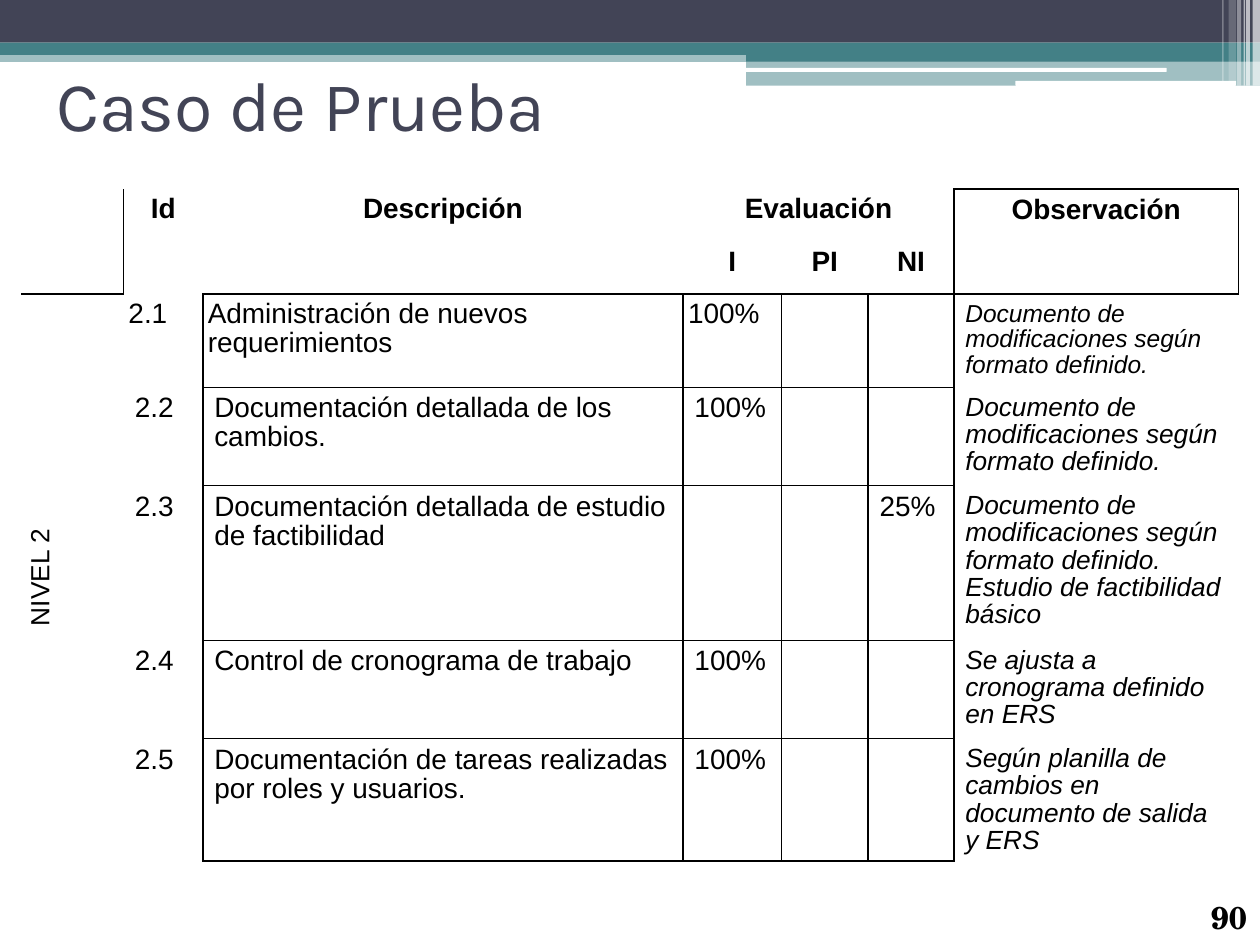
from itertools import product
from lxml.etree import SubElement as Sub
from pptx import Presentation
from pptx.dml.color import RGBColor as Rgb
from pptx.enum.shapes import MSO_SHAPE as Kind
from pptx.enum.text import MSO_ANCHOR as Anchor, PP_ALIGN as Align
from pptx.oxml.ns import qn
from pptx.util import Cm, Pt

TEAL, DARK, WHITE, BLACK = "438086", "424456", "FFFFFF", "000000"
PLAIN = "{2D5ABB26-0587-4C30-8999-92F81FD0307C}"
TIGHT = (0.1, 0.13, 0.1, 0.1)
WIDE = (0.23, 0.15, 0.23, 0.13)
COLS = (2.06, 1.6, 9.68, 1.98, 1.75, 1.73, 5.74)
ROWS = (1.06, 1.06, 1.88, 1.98, 3.12, 1.98, 2.46)
FLAT, ROUND = Kind.RECTANGLE, Kind.ROUNDED_RECTANGLE

BARS = [
    (FLAT, (0, 1.02, 25.4, 0.23), TEAL, 50),
    (FLAT, (0, 0, 25.4, 0.86), DARK, 100),
    (FLAT, (0, 0.86, 25.4, 0.25), TEAL, 100),
    (FLAT, (15.04, 0.99, 10.36, 0.25), TEAL, 100),
    (FLAT, (15.04, 1.22, 10.36, 0.51), TEAL, 50),
    (ROUND, (15.01, 1.37, 8.51, 0.08), WHITE, 100),
    (ROUND, (20.47, 1.63, 4.45, 0.1), WHITE, 100),
]
STRIPES = [
    (25.25, 0.15, 1.73, 65),
    (25.12, 0.08, 1.73, 65),
    (25.07, 0.03, 1.73, 60),
    (24.94, 0.08, 1.73, 40),
    (24.77, 0.15, 1.63, 20),
    (24.64, 0.03, 1.63, 30),
]
HEADS = [
    (0, 1, "Id"), (0, 2, "Descripción"), (0, 3, "Evaluación"),
    (0, 6, "Observación"), (1, 3, "I"), (1, 4, "PI"), (1, 5, "NI"),
]
MERGES = [(0, 1, 1, 1), (0, 2, 1, 2), (0, 3, 0, 5), (0, 6, 1, 6), (2, 0, 6, 0)]
CASES = [
    ("2.1", "Administración de nuevos requerimientos", 3, "100%",
     "Documento de modificaciones según formato definido."),
    ("2.2", "Documentación detallada de los cambios.", 3, "100%",
     "Documento de modificaciones según formato definido."),
    ("2.3", "Documentación detallada de estudio de factibilidad", 5, "25%",
     "Documento de modificaciones según formato definido. "
     "Estudio de factibilidad básico"),
    ("2.4", "Control de cronograma de trabajo", 3, "100%",
     "Se ajusta a cronograma definido en ERS"),
    ("2.5", "Documentación de tareas realizadas por roles y usuarios.", 3, "100%",
     "Según planilla de cambios en documento de salida y ERS"),
]


def color(code):
    return Rgb.from_string(code)


def apply(item, vals):
    for name, val in vals.items():
        setattr(item, name, val)


def place(item, box):
    apply(item, dict(zip(("left", "top", "width", "height"), map(Cm, box))))


def pad(item, gaps):
    names = ("margin_left", "margin_top", "margin_right", "margin_bottom")
    apply(item, dict(zip(names, map(Cm, gaps))))


def write(frame, text, size, face="Arial", tint=BLACK, align=Align.LEFT,
          space=1.0, **more):
    para = frame.paragraphs[0]
    run = para.add_run()
    run.text = text
    apply(para, {"alignment": align, "line_spacing": space})
    apply(run.font, {"size": Pt(size), "name": face, **more})
    run.font.color.rgb = color(tint)


def bar(slide, kind, box, tint, alpha):
    shape = slide.shapes.add_shape(kind, *map(Cm, box))
    shape.shadow.inherit = False
    shape.line.fill.background()
    shape.fill.solid()
    shape.fill.fore_color.rgb = color(tint)
    if alpha < 100:
        node = shape.fill._xPr.find(".//" + qn("a:srgbClr"))
        Sub(node, qn("a:alpha"), val=str(alpha * 1000))


def title(slide):
    head = slide.shapes.title
    place(head, (0.91, 0.33, 23.6, 3.53))
    pad(head.text_frame, (0.23, 0.1, 0.23, 0.13))
    head.text_frame.vertical_anchor = Anchor.MIDDLE
    write(head.text_frame, "Caso de Prueba", 40, "Karla", DARK)


def number(slide):
    box = slide.shapes.add_textbox(Cm(24.18), Cm(17.96), Cm(3.25), Cm(1.09))
    pad(box.text_frame, (0.23, 0.15, 0.23, 0.1))
    box.text_frame.word_wrap = True
    write(box.text_frame, "90", 18, "TeX Gyre Schola", bold=True)


def sides(row, col):
    if row > 1 and 2 <= col <= 5:
        return "LRTB"
    if row < 2 and col == 6:
        return ("LRT", "LRB")[row] if row else "LRTB"
    if row < 2 and col == 0:
        return ("R", "RB")[row]
    return ""


def border(cell, marks):
    prop = cell._tc.get_or_add_tcPr()
    for mark in marks:
        line = Sub(prop, qn("a:ln" + mark), w=str(Pt(1)))
        fill = Sub(line, qn("a:solidFill"))
        Sub(fill, qn("a:srgbClr"), val=BLACK)


def enter(cell, text, size, gaps=WIDE, **more):
    pad(cell, gaps)
    write(cell.text_frame, text, size, space=0.93, **more)


def table(slide):
    grid = slide.shapes.add_table(
        len(ROWS), len(COLS), Cm(0.43), Cm(3.81), Cm(sum(COLS)), Cm(sum(ROWS))
    ).table
    apply(grid, {"first_row": False, "horz_banding": False})
    grid._tbl.tblPr.find(qn("a:tableStyleId")).text = PLAIN
    for col, width in zip(grid.columns, COLS):
        col.width = Cm(width)
    for row, height in zip(grid.rows, ROWS):
        row.height = Cm(height)
    for row, col in product(range(len(ROWS)), range(len(COLS))):
        cell = grid.cell(row, col)
        border(cell, sides(row, col))
        cell.fill.background()
    for top, left, low, right in MERGES:
        grid.cell(top, left).merge(grid.cell(low, right))
    for row, col, text in HEADS:
        gaps = WIDE if col == 6 else TIGHT
        enter(grid.cell(row, col), text, 16, gaps, align=Align.CENTER, bold=True)
    level = grid.cell(2, 0)
    enter(level, "NIVEL 2", 15, TIGHT, align=Align.CENTER)
    level.vertical_anchor = Anchor.MIDDLE
    level._tc.tcPr.set("vert", "vert270")
    for row, (code, task, spot, rate, note) in enumerate(CASES, 2):
        gaps = TIGHT if row == 2 else WIDE
        for col, text in ((1, code), (2, task), (spot, rate)):
            enter(grid.cell(row, col), text, 16, gaps)
        enter(grid.cell(row, 6), note, 14 if row == 2 else 15, italic=True)


def main():
    deck = Presentation()
    apply(deck, {"slide_width": Cm(25.4), "slide_height": Cm(19.05)})
    slide = deck.slides.add_slide(deck.slide_layouts[5])
    for item in BARS:
        bar(slide, *item)
    for left, width, height, alpha in STRIPES:
        bar(slide, FLAT, (left, 0, width, height), WHITE, alpha)
    title(slide)
    table(slide)
    number(slide)
    deck.save("out.pptx")


if __name__ == "__main__":
    main()
